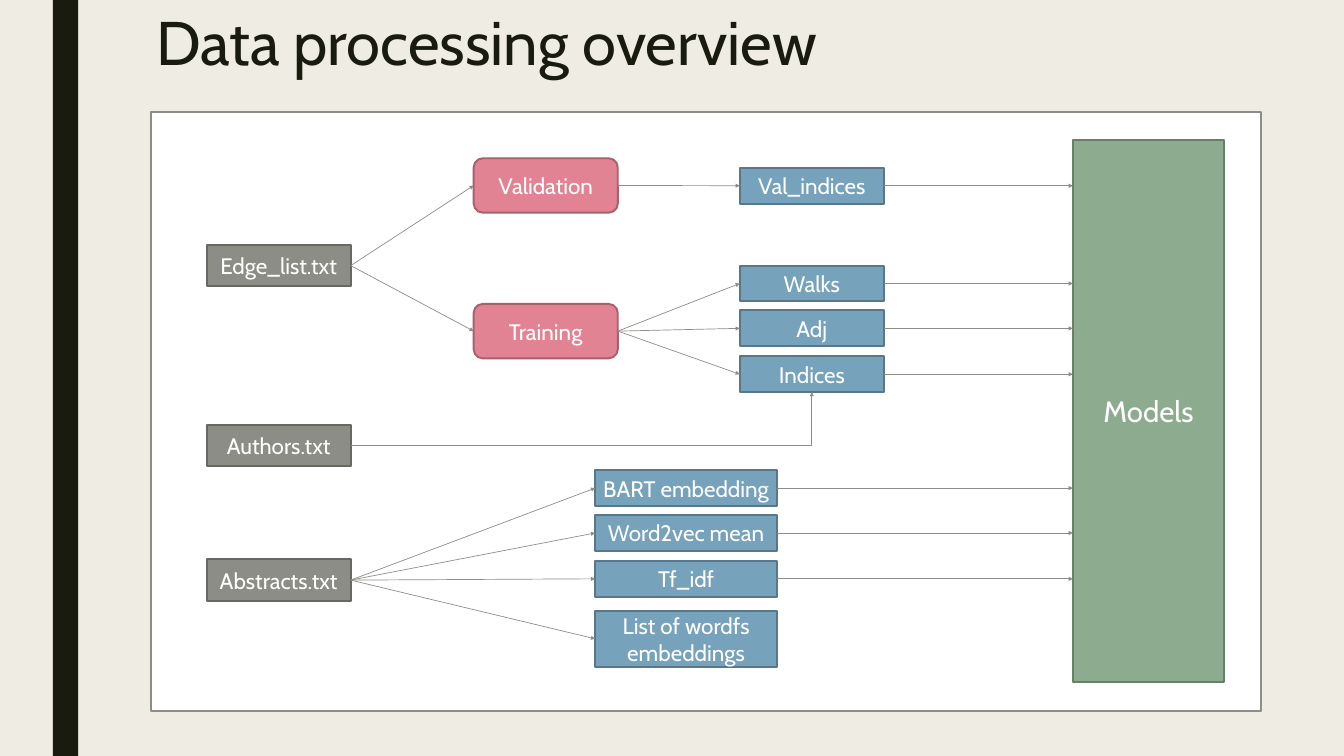
import pptx
import pptx.util
import pptx.dml.color
import pptx.enum.shapes
import pptx.enum.text
import pptx.oxml.ns
from lxml import etree

RGBColor = pptx.dml.color.RGBColor
Pt = pptx.util.Pt
SHAPE = pptx.enum.shapes.MSO_SHAPE
CONNECTOR = pptx.enum.shapes.MSO_CONNECTOR
ALIGN = pptx.enum.text.PP_ALIGN
qn = pptx.oxml.ns.qn

FONT = "Cabin"
CREAM = RGBColor(0xEF, 0xED, 0xE3)
INK = RGBColor(0x19, 0x1B, 0x0E)
WHITE = RGBColor(0xFF, 0xFF, 0xFF)
GRAY = RGBColor(0x8C, 0x8D, 0x86)
DARK_GRAY = RGBColor(0x68, 0x68, 0x63)
PINK = RGBColor(0xE2, 0x83, 0x94)
DARK_PINK = RGBColor(0xA7, 0x61, 0x6D)
BLUE = RGBColor(0x77, 0xA2, 0xBB)
DARK_BLUE = RGBColor(0x58, 0x78, 0x8A)
GREEN = RGBColor(0x8D, 0xAB, 0x8E)
DARK_GREEN = RGBColor(0x68, 0x7F, 0x69)

TOP, LEFT, BOTTOM, RIGHT = range(4)  # connection sites of a rectangle


def px(n):
    """One px is a hundredth of an inch."""
    return pptx.util.Emu(n * 9144)


def add_box(shapes, x, y, w, h, fill, line=None, text="", size=32, kind=SHAPE.RECTANGLE):
    sp = shapes.add_shape(kind, px(x), px(y), px(w), px(h))
    sp.shadow.inherit = False
    sp.fill.solid()
    sp.fill.fore_color.rgb = fill
    if line is None:
        sp.line.fill.background()
    else:
        sp.line.color.rgb = line
        sp.line.width = Pt(2.75)
    if text:
        tf = sp.text_frame
        tf.word_wrap = True
        tf.vertical_anchor = pptx.enum.text.MSO_ANCHOR.MIDDLE
        p = tf.paragraphs[0]
        p.text = text
        p.alignment = ALIGN.CENTER
        p.font.name = FONT
        p.font.size = Pt(size)
        p.font.color.rgb = WHITE
    return sp


def add_arrow(shapes, start, end, end_site=LEFT, kind=CONNECTOR.STRAIGHT):
    """Arrow from the right side of one box to a site of another."""
    line = shapes.add_connector(kind, 0, 0, 0, 0)
    line.begin_connect(start, RIGHT)
    line.end_connect(end, end_site)
    line.line.color.rgb = GRAY
    line.line.width = Pt(1)
    ln = line.line._get_or_add_ln()
    etree.SubElement(ln, qn("a:tailEnd"), type="triangle")
    etree.SubElement(line._element.spPr, qn("a:effectLst"))
    return line


def add_level_arrow(shapes, start, end):
    """Horizontal arrow that meets the left edge of a tall box."""
    line = add_arrow(shapes, start, end)
    cxn = line._element.nvCxnSpPr.cNvCxnSpPr
    cxn.remove(cxn.find(qn("a:endCxn")))
    line.end_y = line.begin_y


def add_title(slide, x, y, w, h, text):
    title = slide.shapes.title
    title.left, title.top, title.width, title.height = px(x), px(y), px(w), px(h)
    tf = title.text_frame
    tf.auto_size = pptx.enum.text.MSO_AUTO_SIZE.NONE
    tf.vertical_anchor = pptx.enum.text.MSO_ANCHOR.MIDDLE
    p = tf.paragraphs[0]
    p.text = text
    p.alignment = ALIGN.LEFT
    p.line_spacing = 0.89
    p.font.name = FONT
    p.font.size = Pt(88)
    p.font.color.rgb = INK


def add_pipeline(slide, x, y, w, h):
    """Flow from the text files, through the features, to the models."""
    shapes = slide.shapes.add_group_shape().shapes
    add_box(shapes, x, y, w, h, WHITE, GRAY)

    def column(left, width, height, fill, line, rows, kind=SHAPE.RECTANGLE):
        return [add_box(shapes, x + left, y + top, width, height, fill, line, text, kind=kind)
                for text, top in rows]

    edges, authors, abstracts = column(110, 286, 82, GRAY, DARK_GRAY, [
        ("Edge_list.txt", 263), ("Authors.txt", 620), ("Abstracts.txt", 887)])
    validation, training = column(640, 286, 108, PINK, DARK_PINK, [
        ("Validation", 91), ("Training", 380)], SHAPE.ROUNDED_RECTANGLE)
    val_indices, *graph = column(1168, 286, 71, BLUE, DARK_BLUE, [
        ("Val_indices", 110), ("Walks", 304), ("Adj", 393), ("Indices", 484)])
    embeddings = column(881, 361, 71, BLUE, DARK_BLUE, [
        ("BART embedding", 710), ("Word2vec mean", 799), ("Tf_idf", 890)])
    word_list = column(881, 361, 111, BLUE, DARK_BLUE, [
        ("List of wordfs embeddings", 989)])
    models = add_box(shapes, x + 1829, y + 54, 300, 1077, GREEN, DARK_GREEN, "Models", 42)

    for start, ends in [(edges, [validation, training]),
                        (validation, [val_indices]),
                        (training, graph),
                        (abstracts, embeddings + word_list)]:
        for end in ends:
            add_arrow(shapes, start, end)
    for start in [val_indices, *graph, *embeddings]:
        add_level_arrow(shapes, start, models)
    elbow = add_arrow(shapes, authors, graph[-1], BOTTOM, CONNECTOR.ELBOW)
    elbow._element.spPr.find(qn("a:prstGeom")).set("prst", "bentConnector2")


def main():
    prs = pptx.Presentation()
    prs.slide_width, prs.slide_height = px(2667), px(1500)
    slide = prs.slides.add_slide(prs.slide_layouts[5])
    slide.background.fill.solid()
    slide.background.fill.fore_color.rgb = CREAM
    add_box(slide.shapes, 105, 0, 50, 1500, INK)
    add_title(slide, 300, -1, 2100, 183, "Data processing overview")
    add_pipeline(slide, 300, 223, 2202, 1188)
    prs.save("out.pptx")


if __name__ == "__main__":
    main()
